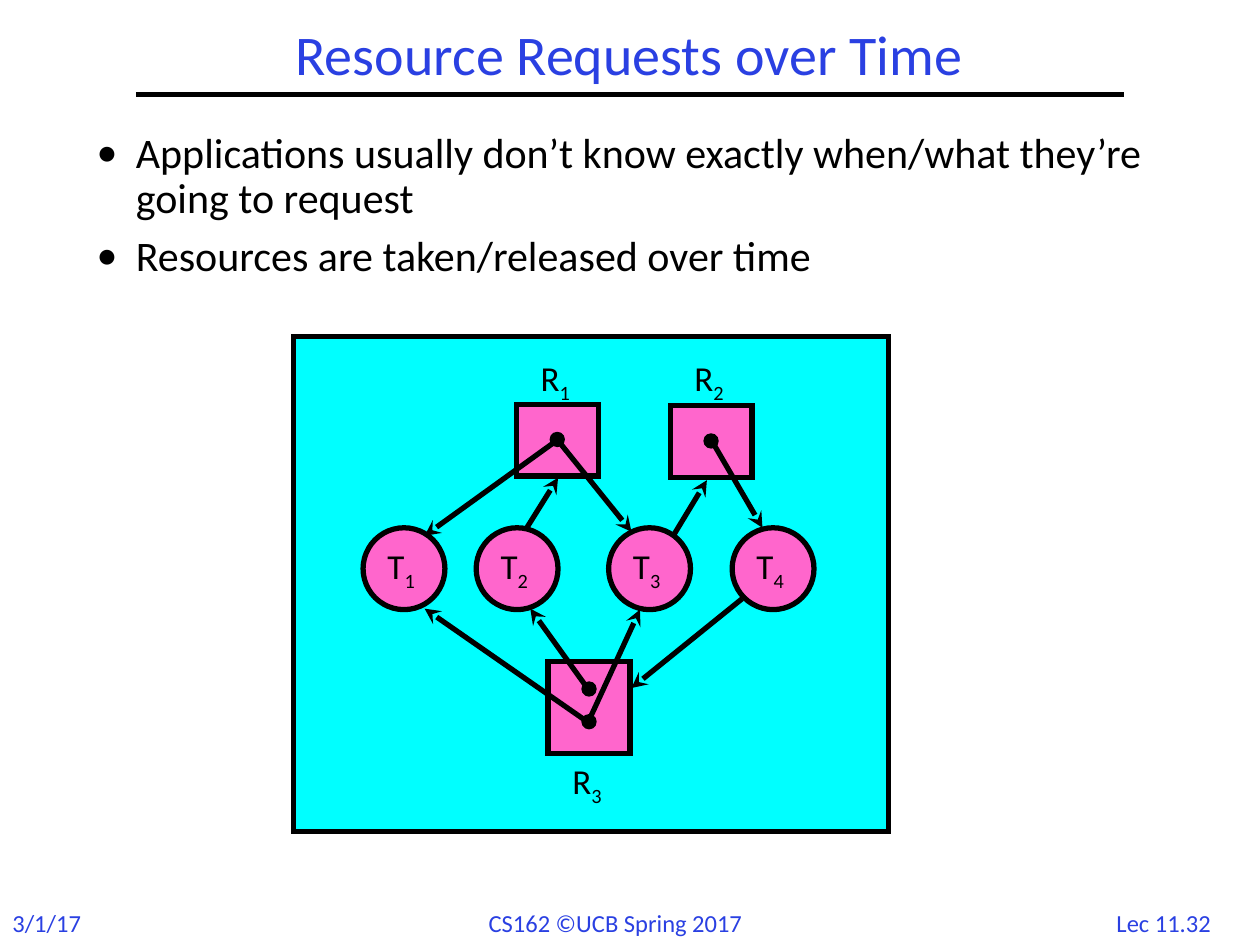
from dataclasses import dataclass

from lxml.etree import SubElement
from pptx import Presentation
from pptx.dml.color import RGBColor
from pptx.enum.shapes import MSO_CONNECTOR, MSO_SHAPE
from pptx.enum.text import MSO_ANCHOR, PP_ALIGN
from pptx.oxml.ns import qn
from pptx.util import Cm, Pt

BLACK, BLUE, CYAN, PINK = "000000", "2A40E2", "00FFFF", "FF66CC"
SIDE = 1.65
DOT = 0.2


@dataclass
class Task:
    name: str
    left: float


@dataclass
class Store:
    name: str
    left: float
    top: float
    high: float
    label: float
    dots: tuple


@dataclass
class Arrow:
    x1: float
    y1: float
    x2: float
    y2: float


TASKS = [Task("T_1", 7.32), Task("T_2", 9.6), Task("T_3", 12.27), Task("T_4", 14.76)]
STORES = [
    Store("R_1", 10.41, 8.15, 1.45, 7.06, (8.76,)),
    Store("R_2", 13.51, 8.18, 1.45, 7.06, (8.79,)),
    Store("R_3", 11.05, 13.34, 1.85, 15.19, (13.79, 14.45)),
]
ARROWS = [
    Arrow(10.62, 10.64, 11.25, 9.63),
    Arrow(11.28, 8.92, 12.73, 10.72),
    Arrow(13.59, 10.77, 14.25, 9.68),
    Arrow(14.38, 8.94, 15.37, 10.64),
    Arrow(11.84, 13.87, 10.69, 12.27),
    Arrow(11.86, 14.55, 12.9, 12.29),
    Arrow(14.96, 12.07, 12.73, 13.87),
    Arrow(11.25, 8.86, 8.56, 10.8),
    Arrow(11.84, 14.55, 8.56, 12.27),
]

deck = Presentation()
deck.slide_width, deck.slide_height = Cm(25.4), Cm(19.05)
slide = deck.slides.add_slide(deck.slide_layouts[6])
shapes = slide.shapes


def color(code: str) -> RGBColor:
    return RGBColor.from_string(code)


def write(shape, text: str, *, size: float = 20, ink: str = BLACK,
          align=PP_ALIGN.LEFT, anchor=MSO_ANCHOR.TOP, wrap: bool = False,
          space: float = 1, gap: float = 0, bullet: bool = False) -> None:
    frame = shape.text_frame
    frame.word_wrap = wrap
    frame.vertical_anchor = anchor
    for row, line in enumerate(text.split("\n")):
        para = frame.add_paragraph() if row else frame.paragraphs[0]
        para.alignment = align
        para.line_spacing = space
        para.space_before = Pt(gap if row else 0)
        if bullet:
            props = para._p.get_or_add_pPr()
            props.set("marL", str(Cm(0.79)))
            props.set("indent", str(Cm(-0.79)))
            SubElement(props, qn("a:buFont")).set("typeface", "Calibri")
            SubElement(props, qn("a:buChar")).set("char", "•")
        for part, chunk in enumerate(line.split("_")):
            run = para.add_run()
            run.text = chunk
            run.font.name = "Calibri"
            run.font.size = Pt(size)
            run.font.color.rgb = color(ink)
            if part:
                run._r.get_or_add_rPr().set("baseline", "-25000")


def label(text: str, left: float, top: float, width: float, high: float, **form) -> None:
    write(shapes.add_textbox(Cm(left), Cm(top), Cm(width), Cm(high)), text, **form)


def solid(kind, left: float, top: float, width: float, high: float, fill: str):
    shape = shapes.add_shape(kind, Cm(left), Cm(top), Cm(width), Cm(high))
    shape.shadow.inherit = False
    shape.fill.solid()
    shape.fill.fore_color.rgb = color(fill)
    shape.line.color.rgb = color(BLACK)
    shape.line.width = Pt(3)
    SubElement(shape.line._get_or_add_ln(), qn("a:miter")).set("lim", "800000")
    return shape


def link(arrow: Arrow, head: bool = True) -> None:
    line = shapes.add_connector(MSO_CONNECTOR.STRAIGHT, Cm(arrow.x1), Cm(arrow.y1),
                                Cm(arrow.x2), Cm(arrow.y2))
    line.line.color.rgb = color(BLACK)
    line.line.width = Pt(3)
    if head:
        SubElement(line.line._get_or_add_ln(), qn("a:tailEnd")).set("type", "stealth")
    SubElement(line._element.spPr, qn("a:effectLst"))


def draw_task(task: Task) -> None:
    disc = solid(MSO_SHAPE.OVAL, task.left, 10.64, SIDE, SIDE, PINK)
    write(disc, task.name, anchor=MSO_ANCHOR.MIDDLE)


def draw_store(store: Store) -> None:
    solid(MSO_SHAPE.RECTANGLE, store.left, store.top, SIDE, store.high, PINK)
    for top in store.dots:
        solid(MSO_SHAPE.OVAL, store.left + (SIDE - DOT) / 2, top, DOT, DOT, BLACK)
    label(store.name, store.left + 0.24, store.label, 1.17, 1.12)


def main() -> None:
    label("Lec 11.32", 22.15, 18.19, 2.62, 0.84, size=14, ink=BLUE, align=PP_ALIGN.CENTER)
    label("3/1/17", 0, 18.19, 2.4, 0.86, size=14, ink=BLUE, wrap=True)
    label("CS162 ©UCB Spring 2017", 9.6, 18.19, 5.87, 0.86, size=14, ink=BLUE)
    link(Arrow(2.74, 1.9, 22.66, 1.9), head=False)
    label("Resource Requests over Time", 2.74, 0.43, 19.89, 1.47, size=32, ink=BLUE,
          align=PP_ALIGN.CENTER, anchor=MSO_ANCHOR.MIDDLE, wrap=True, space=0.9)
    label("Applications usually don’t know exactly when/what they’re going to request\n"
          "Resources are taken/released over time", 1.7, 2.54, 22.02, 4.24,
          size=24, wrap=True, space=0.9, gap=7.2, bullet=True)
    solid(MSO_SHAPE.RECTANGLE, 5.92, 6.78, 11.99, 9.98, CYAN)
    for task in TASKS:
        draw_task(task)
    for store in STORES:
        draw_store(store)
    for arrow in ARROWS:
        link(arrow)
    deck.save("out.pptx")


if __name__ == "__main__":
    main()
